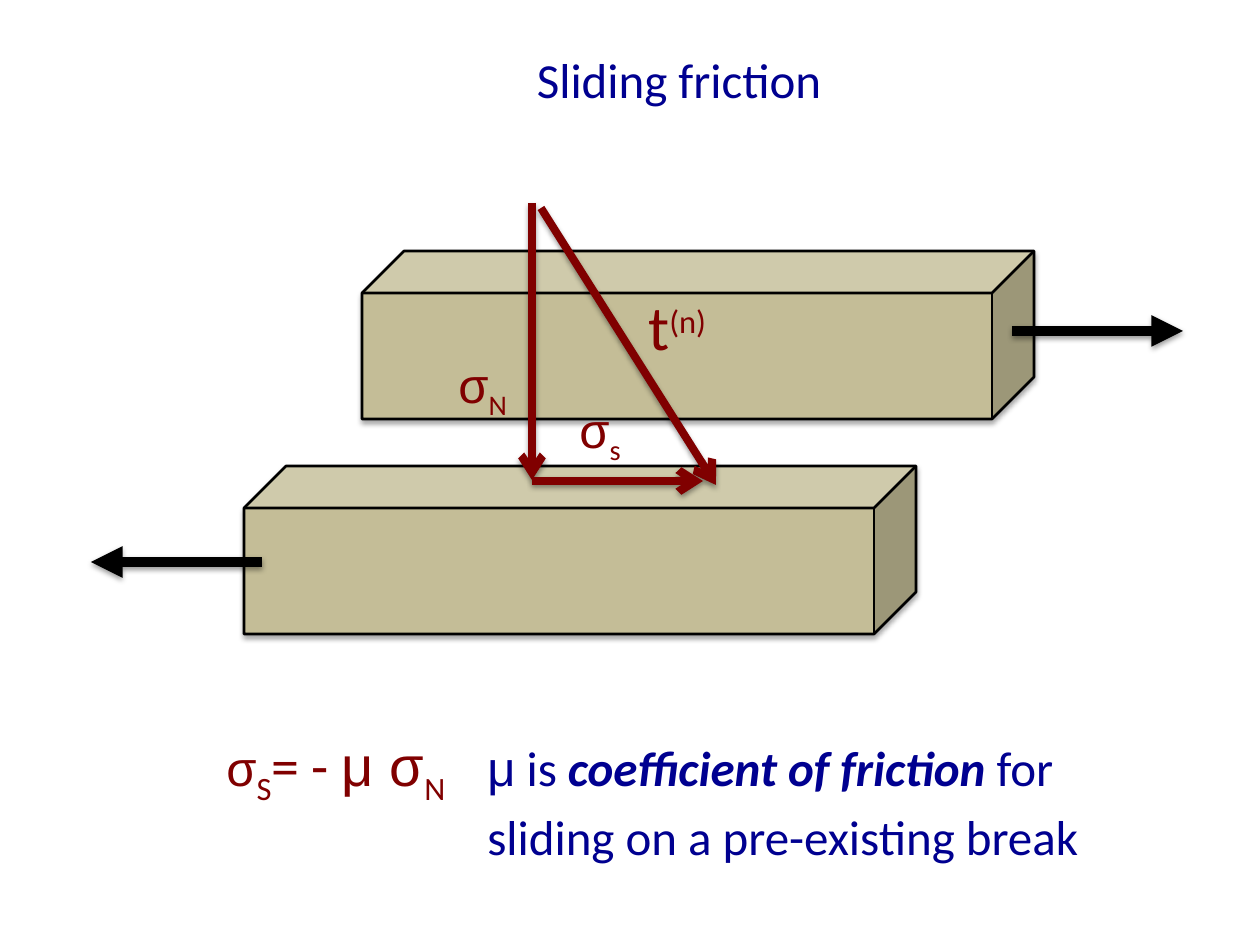
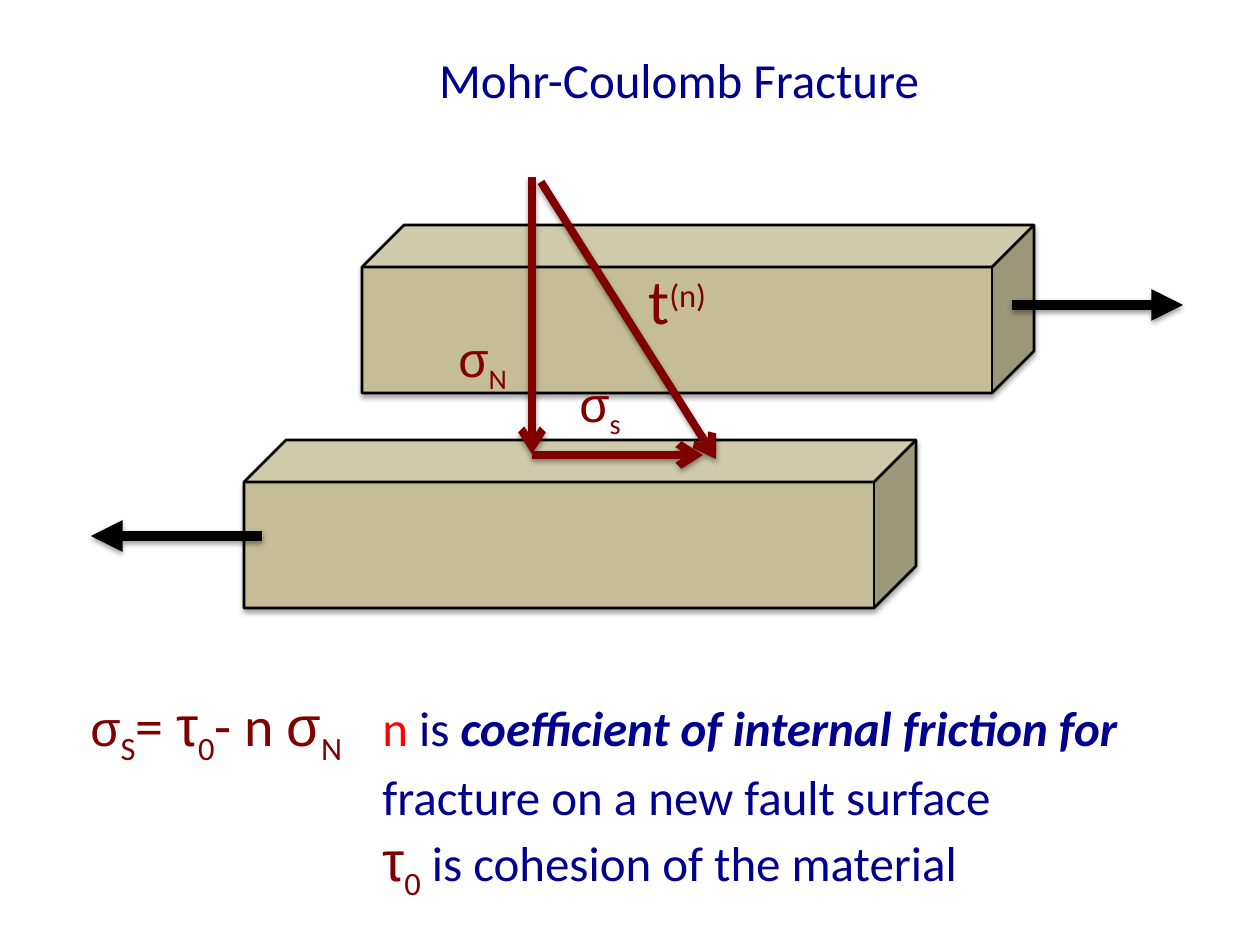
from dataclasses import dataclass

from lxml import etree
from pptx import Presentation
from pptx.dml.color import RGBColor
from pptx.enum.shapes import MSO_CONNECTOR, MSO_SHAPE
from pptx.enum.text import MSO_ANCHOR, MSO_AUTO_SIZE, PP_ALIGN
from pptx.oxml.ns import qn
from pptx.util import Pt

LINE, CUBE = MSO_CONNECTOR.STRAIGHT, MSO_SHAPE.CUBE
TOP, MIDDLE = MSO_ANCHOR.TOP, MSO_ANCHOR.MIDDLE
LEFT, CENTER = PP_ALIGN.LEFT, PP_ALIGN.CENTER
FIT, FIXED = MSO_AUTO_SIZE.SHAPE_TO_FIT_TEXT, MSO_AUTO_SIZE.NONE
SCALE = 914400 / 126


@dataclass(frozen=True)
class Theme:
    """Colours, fonts and type sizes of both slides."""
    navy: str = "000090"
    maroon: str = "800000"
    red: str = "FF0000"
    black: str = "000000"
    stone: str = "C4BD97"
    body: str = "Calibri"
    greek: str = "Arial"
    small: int = 28
    mid: int = 32
    large: int = 36
    sub: int = -25000
    sup: int = 30000


T = Theme()


def px(value):
    """Turn pixels into EMU."""
    return round(value * SCALE)


def rgb(code):
    """Turn a hex code into a colour."""
    return RGBColor.from_string(code)


def run(text, size=T.small, color=T.navy, font=T.body, base=0, strong=False):
    """Describe one run of text."""
    return text, size, color, font, base, strong


def stress(text, size=T.small, **style):
    """Describe a run in the maroon of the stress symbols."""
    return run(text, size, T.maroon, **style)


def greek(text, size=T.small, color=T.maroon):
    """Describe a run of Greek letters."""
    return run(text, size, color, T.greek)


def low(text, size=T.mid):
    """Describe a subscript."""
    return stress(text, size, base=T.sub)


def put_text(shapes, box, *paras, align=LEFT, anchor=TOP, fit=FIT,
             wrap=True, indent=0, hang=()):
    """Add a text box; paragraphs listed in hang start at its left edge."""
    frame = shapes.add_textbox(*map(px, box)).text_frame
    frame.word_wrap, frame.auto_size = wrap, fit
    frame.vertical_anchor = anchor
    for num, runs in enumerate(paras):
        para = frame.add_paragraph() if num else frame.paragraphs[0]
        para.alignment = align
        if indent:
            props = para._p.get_or_add_pPr()
            props.set("marL", str(px(indent)))
            props.set("indent", str(-px(indent) if num in hang else 0))
        for text, size, color, font, base, strong in runs:
            part = para.add_run()
            part.text = text
            part.font.name, part.font.size = font, Pt(size)
            part.font.color.rgb = rgb(color)
            part.font.bold = part.font.italic = strong
            if base:
                part.font._element.set("baseline", str(base))


def add_shadow(shape, alpha, dist):
    """Give a shape or line a soft shadow that falls straight down."""
    effects = etree.SubElement(shape.element.spPr, qn("a:effectLst"))
    outer = etree.SubElement(
        effects, qn("a:outerShdw"), blurRad=str(Pt(3.1)), dist=str(Pt(dist)),
        dir="5400000", rotWithShape="0")
    tint = etree.SubElement(outer, qn("a:srgbClr"), val=T.black)
    etree.SubElement(tint, qn("a:alpha"), val=str(alpha * 1000))


def add_block(shapes, left, top):
    """Add one stone block."""
    block = shapes.add_shape(CUBE, *map(px, (left, top, 672, 168)))
    block.fill.solid()
    block.fill.fore_color.rgb = rgb(T.stone)
    block.line.color.rgb = rgb(T.black)
    block.line.width = Pt(1.5)
    add_shadow(block, 35, 1.8)


def add_arrow(shapes, start, stop, color=T.maroon, width=4.5,
              tip="arrow", end="tailEnd"):
    """Add an arrow between two points."""
    arrow = shapes.add_connector(LINE, *map(px, start + stop))
    arrow.line.color.rgb = rgb(color)
    arrow.line.width = Pt(width)
    etree.SubElement(arrow.line._get_or_add_ln(), qn("a:" + end), type=tip)
    add_shadow(arrow, 38, 1.6)


def add_pull(shapes, left, top, end):
    """Add a black arrow that pulls a block sideways."""
    add_arrow(shapes, (left, top), (left + 171, top), color=T.black, width=6,
              tip="triangle", end=end)


def add_label(shapes, box, *runs):
    """Add a label that does not wrap."""
    put_text(shapes, box, runs, wrap=False)


def add_model(slide, top):
    """Add the two sliding blocks with their stress arrows."""
    shapes = slide.shapes.add_group_shape().shapes
    add_block(shapes, 362, top + 48)
    add_pull(shapes, 1012, top + 128, "tailEnd")
    add_block(shapes, 244, top + 263)
    add_arrow(shapes, (532, top), (532, top + 277))
    add_arrow(shapes, (541, top + 5), (716, top + 282))
    add_arrow(shapes, (532, top + 278), (703, top + 278))
    add_label(shapes, (446, top + 145, 77, 72),
              greek("σ"), low("N", T.small))
    add_label(shapes, (567, top + 190, 69, 72),
              greek("σ"), low("s", T.small))
    add_pull(shapes, 91, top + 359, "headEnd")
    add_label(shapes, (636, top + 78, 89, 89),
              stress("t", T.large), stress("(n)", T.mid, base=T.sup))


def add_slide(deck, title):
    """Add a blank slide with its title."""
    slide = deck.slides.add_slide(deck.slide_layouts[6])
    put_text(slide.shapes, (112, 0, 1134, 158), [run(title)],
             align=CENTER, anchor=MIDDLE, fit=FIXED)
    return slide


def add_sliding(deck):
    """Build the slide on sliding friction."""
    slide = add_slide(deck, "Sliding friction")
    law = [greek("σ"), low("S"), stress("= - ", T.mid),
           greek("μ σ", T.mid), low("N\t"),
           greek("μ", color=T.navy), run(" is "),
           run("coefficient of friction ", strong=True),
           run("for sliding on a pre-existing break")]
    put_text(slide.shapes, (214, 724, 921, 140), law, indent=261, hang=(0,))
    add_model(slide, 203)


def add_fracture(deck):
    """Build the slide on fracture."""
    slide = add_slide(deck, "Mohr-Coulomb Fracture")
    add_model(slide, 177)
    law = [greek("σ"), low("S"), stress("= ", T.mid), greek("τ", T.mid),
           low("0"), stress("- n ", T.mid), greek("σ", T.mid), low("N\t"),
           run("n", color=T.red), run(" is "),
           run("coefficient of internal friction for ", strong=True),
           run("fracture on a new fault surface")]
    note = [greek("τ", T.mid), low("0"), run(" is cohesion of the material")]
    put_text(slide.shapes, (78, 684, 1142, 208), law, note,
             indent=292, hang=(0,))


def main():
    """Build and save the deck."""
    deck = Presentation()
    deck.slide_width, deck.slide_height = px(1260), px(945)
    add_sliding(deck)
    add_fracture(deck)
    deck.save("out.pptx")


main()
